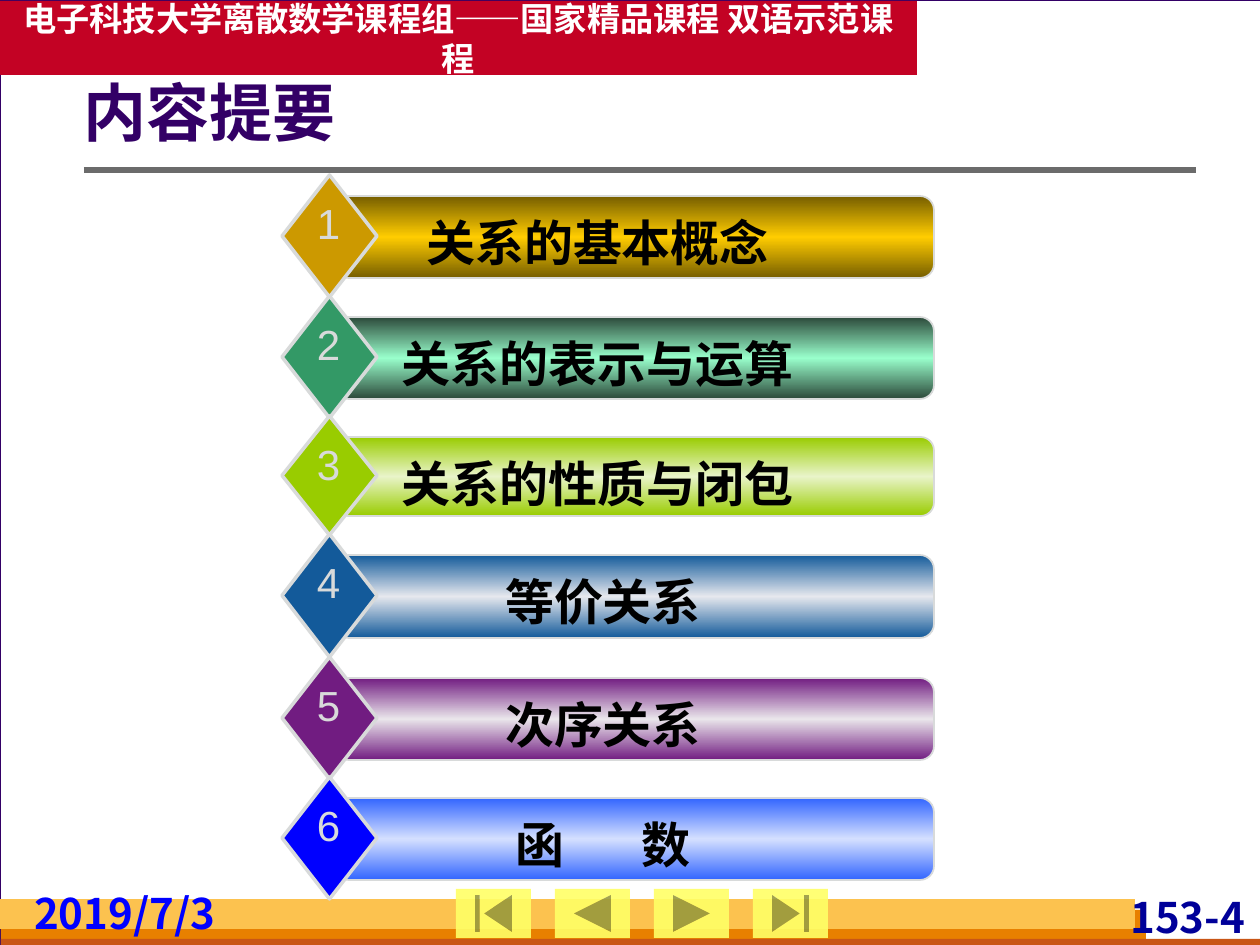
from lxml.etree import SubElement
from pptx import Presentation
from pptx.dml.color import RGBColor
from pptx.enum.shapes import MSO_CONNECTOR, MSO_SHAPE
from pptx.enum.text import MSO_ANCHOR, MSO_AUTO_SIZE, PP_ALIGN
from pptx.oxml.ns import qn
from pptx.util import Pt

PX = 914400 / 126
CJK_FONT = "Noto Sans CJK SC"
SILVER = "D8DADA"


def add_block(shapes, kind, box, fill, line=None, line_width=1):
    """Add a preset shape; fill is one colour, or a pair for edge and middle."""
    shape = shapes.add_shape(kind, *[round(value * PX) for value in box])
    shape.shadow.inherit = False
    if isinstance(fill, tuple):
        edge, middle = fill
        shape.fill.gradient()
        shape.fill.gradient_angle = 270
        stops = shape.fill._fill._gradFill.find(qn("a:gsLst"))
        for stop in list(stops):
            stops.remove(stop)
        for position, color in ((0, edge), (50000, middle), (100000, edge)):
            stop = SubElement(stops, qn("a:gs"), pos=str(position))
            SubElement(stop, qn("a:srgbClr"), val=color)
    else:
        shape.fill.solid()
        shape.fill.fore_color.rgb = RGBColor.from_string(fill)
    if line:
        shape.line.color.rgb = RGBColor.from_string(line)
        shape.line.width = Pt(line_width)
    else:
        shape.line.fill.background()
    return shape


def add_text(shapes, box, text, size, color, align=PP_ALIGN.LEFT, font=CJK_FONT,
             bold=True, wrap=True, margins=(13, 6), anchor=MSO_ANCHOR.TOP):
    """Add a one-paragraph text box; margins are horizontal and vertical."""
    shape = shapes.add_textbox(*[round(value * PX) for value in box])
    frame = shape.text_frame
    frame.text = text
    frame.word_wrap = wrap
    frame.auto_size = MSO_AUTO_SIZE.SHAPE_TO_FIT_TEXT
    frame.vertical_anchor = anchor
    frame.margin_left = frame.margin_right = round(margins[0] * PX)
    frame.margin_top = frame.margin_bottom = round(margins[1] * PX)
    para = frame.paragraphs[0]
    para.alignment = align
    span = para.runs[0]
    span.font.size = Pt(size)
    span.font.bold = bold
    span.font.name = font
    span.font.color.rgb = RGBColor.from_string(color)
    SubElement(span.font._element, qn("a:ea"), typeface=CJK_FONT)
    return para


deck = Presentation()
deck.slide_width = round(1260 * PX)
deck.slide_height = round(945 * PX)
page = deck.slides.add_slide(deck.slide_layouts[6])
page.background.fill.solid()
page.background.fill.fore_color.rgb = RGBColor.from_string(SILVER)

# Page frame, header band and footer bands
add_block(page.shapes, MSO_SHAPE.RECTANGLE, (0, 0, 1261, 945), "FFFFFF", "330066", 0.75)
for box, color in (
    ((0, 1, 917, 74), "C30224"),
    ((1, 910, 1145, 35), "E88000"),
    ((1, 939, 1260, 10), "C95616"),
    ((0, 899, 1135, 30), "FCC24F"),
):
    add_block(page.shapes, MSO_SHAPE.RECTANGLE, box, color)
add_text(page.shapes, (0, 1, 917, 74), "电子科技大学离散数学课程组——国家精品课程 双语示范课程",
         19, "FFFFFF", PP_ALIGN.CENTER, wrap=False, anchor=MSO_ANCHOR.MIDDLE)

# Page number and date
add_text(page.shapes, (1067, 892, 183, 50), "153-4", 24, "000099",
         PP_ALIGN.RIGHT, margins=(5, 0))
add_text(page.shapes, (29, 888, 208, 50), "2019/7/3", 24, "0000FF", margins=(5, 0))

# Title and rule
title = add_text(page.shapes, (84, 76, 1094, 81), "内容提要", 36, "330066",
                 margins=(0, 6), anchor=MSO_ANCHOR.MIDDLE)
title.line_spacing = 0.9
rule = page.shapes.add_connector(
    MSO_CONNECTOR.STRAIGHT, *[round(value * PX) for value in (84, 170, 1196, 170)])
rule.line.color.rgb = RGBColor.from_string("6B6B6B")
rule.line.width = Pt(3)
SubElement(rule._element.spPr, qn("a:effectLst"))

# Navigation buttons
buttons = (
    MSO_SHAPE.ACTION_BUTTON_BEGINNING,
    MSO_SHAPE.ACTION_BUTTON_BACK_OR_PREVIOUS,
    MSO_SHAPE.ACTION_BUTTON_FORWARD_OR_NEXT,
    MSO_SHAPE.ACTION_BUTTON_END,
)
for index, kind in enumerate(buttons):
    button = add_block(page.shapes, kind, (456 + 99 * index, 889, 75, 49), "FFFF66")
    color_node = button.fill._xPr.find(qn("a:solidFill"))[0]
    SubElement(color_node, qn("a:alpha"), val="90000")

# Topics: top, height, label, bar edge, bar middle, diamond
topics = (
    (196, 82, "关系的基本概念 ", "765E00", "FFCC00", "CC9900"),
    (317, 82, "关系的表示与运算 ", "2C493A", "99FFCC", "339966"),
    (437, 79, "关系的性质与闭包 ", "99CC00", "E9F4C9", "99CC00"),
    (555, 83, "等价关系", "135A9A", "E6E8EE", "135A9A"),
    (678, 82, "次序关系", "711C81", "EAE6EB", "711C81"),
    (798, 82, "函", "3366FF", "D4DFFF", "0000FF"),
)
for number, (top, height, label, edge, middle, accent) in enumerate(topics, 1):
    group = page.shapes.add_group_shape().shapes
    bar = add_block(group, MSO_SHAPE.ROUNDED_RECTANGLE, (335, top, 599, height),
                    (edge, middle), SILVER)
    bar.adjustments[0] = 0.17
    add_block(group, MSO_SHAPE.DIAMOND, (282, top - 21, 95, height + 40),
              accent, SILVER, 2)
    topic = add_text(group, (367, top + 10, 472, 72), label, 28, "000000",
                     PP_ALIGN.CENTER, "Arial")
    add_text(group, (304, top - 4, 49, 63), str(number), 24, SILVER,
             PP_ALIGN.CENTER, "Arial", bold=False, wrap=False)

# The last label is two characters set wide apart by letter spacing
for text, spacing in ((" ", "3800"), ("数", "0")):
    span = topic.add_run()
    span.text = text
    span.font.size = Pt(28)
    span.font.bold = True
    span.font.name = "Arial"
    span.font.color.rgb = RGBColor.from_string("000000")
    SubElement(span.font._element, qn("a:ea"), typeface=CJK_FONT)
    span.font._element.set("spc", spacing)

deck.save("out.pptx")
